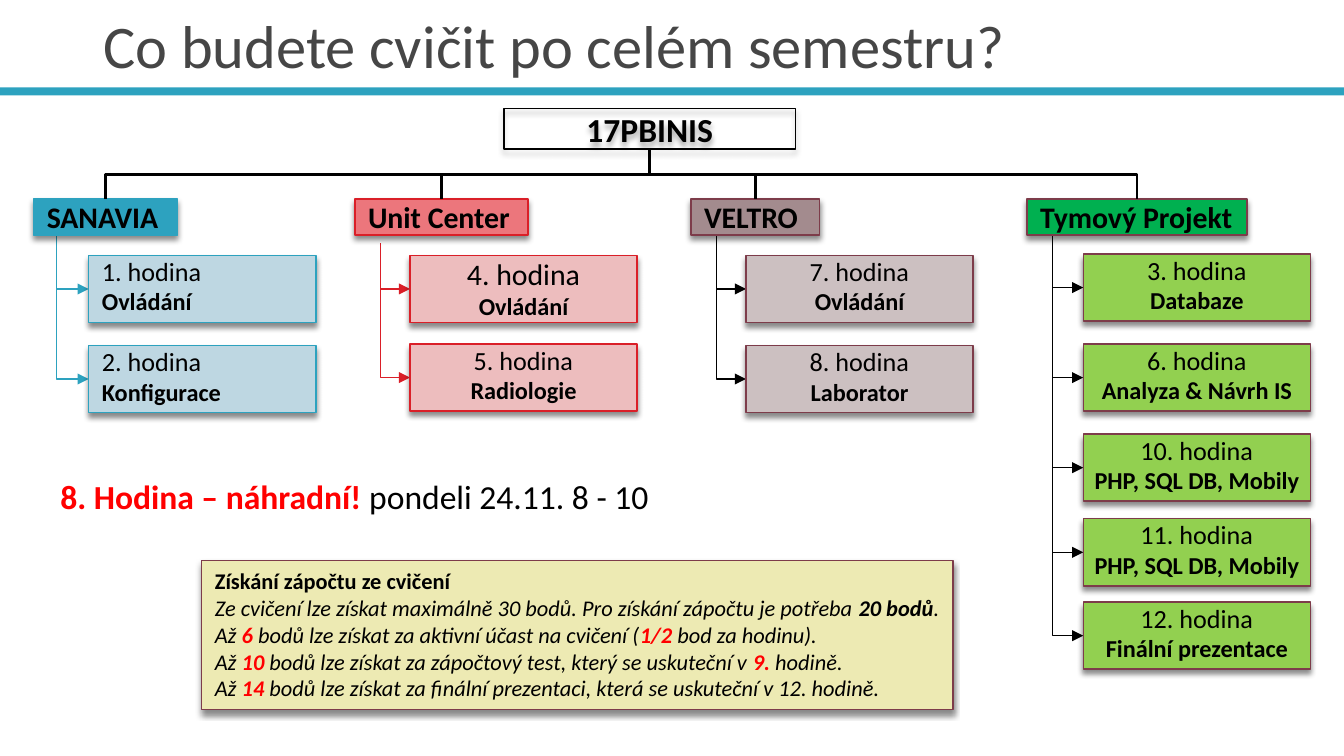
from lxml import etree
from pptx import Presentation
from pptx.dml.color import RGBColor
from pptx.enum.shapes import MSO_CONNECTOR, MSO_SHAPE
from pptx.enum.text import MSO_ANCHOR, PP_ALIGN
from pptx.oxml.ns import qn
from pptx.util import Pt

PX = 9144
SLIDE_WIDTH = 1000 * PX
SLIDE_HEIGHT = SLIDE_WIDTH * 9 // 16
RECTANGLE = MSO_SHAPE.RECTANGLE
ELBOW = MSO_CONNECTOR.ELBOW
LEFT, CENTER = PP_ALIGN.LEFT, PP_ALIGN.CENTER
TOP, BOTTOM = MSO_ANCHOR.TOP, MSO_ANCHOR.BOTTOM
FONT = "Calibri"
THIN = 0.79
BOX_WIDTH, BOX_HEIGHT = 169, 50
HEADER_TOP, HEADER_HEIGHT = 148, 27
LONGEST_DROP = 108

COLORS = {
    "black": "000000", "gray": "464646", "red": "FF0000",
    "teal": "2DA2BF", "pale teal": "BED7E2",
    "crimson": "DA1F28", "rose": "EC767C", "pale rose": "EDBDBE",
    "wine": "7D3C4A", "mauve": "A38B8E", "pale mauve": "CCC0C1",
    "green": "00B050", "lime": "92D050", "sand": "EDEAB3",
}

TITLE = "Co budete cvičit po celém semestru?"
COURSE = "17PBINIS"

COLUMNS = [
    {"name": "SANAVIA", "left": 25, "width": 107, "stem": (42, 173), "box_left": 66,
     "fill": "teal", "line": "teal", "box_fill": "pale teal", "arrow": "teal", "align": LEFT,
     "lessons": [(190, "1. hodina", 14, "Ovládání"), (257, "2. hodina", 14, "Konfigurace")]},
    {"name": "Unit Center", "left": 264, "width": 129, "stem": (283, 181), "box_left": 305,
     "fill": "rose", "line": "crimson", "box_fill": "pale rose", "arrow": "crimson", "align": CENTER,
     "lessons": [(190, "4. hodina", 16, "Ovládání"), (256, "5. hodina", 14, "Radiologie")]},
    {"name": "VELTRO", "left": 514, "width": 96, "stem": (533, 173), "box_left": 555,
     "fill": "mauve", "line": "wine", "box_fill": "pale mauve", "arrow": "black", "align": CENTER,
     "lessons": [(190, "7. hodina", 14, "Ovládání"), (257, "8. hodina", 14, "Laborator")]},
    {"name": "Tymový Projekt", "left": 764, "width": 164, "stem": (783, 173), "box_left": 806,
     "fill": "green", "line": "wine", "box_fill": "lime", "arrow": "black", "align": CENTER,
     "lessons": [(189, "3. hodina", 14, "Databaze"),
                 (256, "6. hodina", 14, "Analyza & Návrh IS"),
                 (323, "10. hodina", 14, "PHP, SQL DB, Mobily"),
                 (386, "11. hodina", 14, "PHP, SQL DB, Mobily"),
                 (448, "12. hodina", 14, "Finální prezentace")]},
]

NOTICE = [("8. Hodina – náhradní! ", True, "red"), ("pondeli 24.11. 8 - 10", False, "black")]

CREDIT_HEADING = "Získání zápočtu ze cvičení"
CREDIT_RULES = [
    [("Ze cvičení lze získat maximálně 30 bodů. Pro získání zápočtu je potřeba ", False, "black"),
     ("20 bodů", True, "black"), (".", False, "black")],
    [("Až ", False, "black"), ("6 ", True, "red"),
     ("bodů lze získat za aktivní účast na cvičení (", False, "black"),
     ("1/2", True, "red"), (" bod za hodinu).", False, "black")],
    [("Až ", False, "black"), ("10", True, "red"),
     (" bodů lze získat za zápočtový test, který se uskuteční v ", False, "black"),
     ("9.", True, "red"), (" hodině.", False, "black")],
    [("Až ", False, "black"), ("14", True, "red"),
     (" bodů lze získat za finální prezentaci, která se uskuteční v 12. hodině.", False, "black")],
]


def rgb(name):
    return RGBColor.from_string(COLORS[name])


def add_shadow(shape, opacity, distance):
    effects = etree.SubElement(shape._element.spPr, qn("a:effectLst"))
    shadow = etree.SubElement(effects, qn("a:outerShdw"), blurRad=str(Pt(3)),
                              dist=str(Pt(distance)), dir="5400000", rotWithShape="0")
    color = etree.SubElement(shadow, qn("a:srgbClr"), val=COLORS["black"])
    etree.SubElement(color, qn("a:alpha"), val=str(opacity * 1000))


def add_box(slide, left, top, width, height, fill, line, line_width=THIN):
    shape = slide.shapes.add_shape(RECTANGLE, *(value * PX for value in (left, top, width, height)))
    if fill:
        shape.fill.solid()
        shape.fill.fore_color.rgb = rgb(fill)
    else:
        shape.fill.background()
    if line:
        shape.line.color.rgb = rgb(line)
        shape.line.width = Pt(line_width)
    else:
        shape.line.fill.background()
    return shape


def write(shape, paragraphs, align=LEFT, anchor=TOP, wrap=False, tight=False):
    frame = shape.text_frame
    frame.word_wrap = wrap
    frame.vertical_anchor = anchor
    if tight:
        frame.margin_top = frame.margin_bottom = 0
    for index, (runs, size, italic) in enumerate(paragraphs):
        paragraph = frame.paragraphs[0] if index == 0 else frame.add_paragraph()
        paragraph.alignment = align
        paragraph.font.name = FONT
        paragraph.font.size = Pt(size)
        paragraph.font.italic = italic
        for text, bold, color in runs:
            run = paragraph.add_run()
            run.text = text
            run.font.bold = bold
            run.font.color.rgb = rgb(color)


def add_elbow(slide, start, end, preset, color, width, arrow=False):
    (x1, y1), (x2, y2) = start, end
    center_x, center_y = (x1 + x2) / 2, (y1 + y2) / 2
    half_drop, half_run = (y2 - y1) / 2, abs(x2 - x1) / 2
    rightward = x2 > x1
    side = half_drop if rightward else -half_drop
    corners = (center_x + side, center_y - half_run, center_x - side, center_y + half_run)
    connector = slide.shapes.add_connector(ELBOW, *(round(value * PX) for value in corners))
    properties = connector._element.spPr
    properties.find(qn("a:xfrm")).set("rot", str((270 if rightward else 90) * 60000))
    properties.find(qn("a:prstGeom")).set("prst", preset)
    connector.line.color.rgb = rgb(color)
    connector.line.width = Pt(width)
    if arrow:
        etree.SubElement(properties.find(qn("a:ln")), qn("a:tailEnd"), type="triangle")
    etree.SubElement(properties, qn("a:effectLst"))


def add_column(slide, column):
    stem_x, stem_top = column["stem"]
    left = column["box_left"]
    for top, lesson, size, topic in column["lessons"]:
        middle = top + BOX_HEIGHT // 2
        start = (stem_x, max(stem_top, middle - LONGEST_DROP))
        add_elbow(slide, start, (left, middle), "bentConnector2", column["arrow"], THIN, arrow=True)
        box = add_box(slide, left, top, BOX_WIDTH, BOX_HEIGHT, column["box_fill"], column["line"])
        add_shadow(box, 45, 2.4)
        write(box, [([(lesson, False, "black")], size, False), ([(topic, True, "black")], 13, False)],
              column["align"], tight=True)
    header = add_box(slide, column["left"], HEADER_TOP, column["width"], HEADER_HEIGHT,
                     column["fill"], column["line"])
    add_shadow(header, 45, 2.4)
    write(header, [([(column["name"], True, "black")], 16, False)], tight=True)
    center = column["left"] + column["width"] / 2
    add_elbow(slide, (483, 112), (center, HEADER_TOP), "bentConnector3", "black", 1.5)


def main():
    presentation = Presentation()
    presentation.slide_width, presentation.slide_height = SLIDE_WIDTH, SLIDE_HEIGHT
    slide = presentation.slides.add_slide(presentation.slide_layouts[6])

    band = add_box(slide, 0, 65, 1000, 6, "teal", None)
    band.shadow.inherit = False
    title = slide.shapes.add_textbox(67 * PX, 13 * PX, 892 * PX, 52 * PX)
    write(title, [([(TITLE, False, "gray")], 32.4, False)], anchor=BOTTOM, wrap=True)

    course = add_box(slide, 375, 81, 217, 30, None, "black", 0.75)
    add_shadow(course, 35, 2)
    write(course, [([(COURSE, True, "black")], 18, False)], CENTER, wrap=True, tight=True)

    for column in COLUMNS:
        add_column(slide, column)

    credit = add_box(slide, 150, 417, 559, 111, "sand", "wine")
    add_shadow(credit, 45, 2.4)
    write(credit, [([(CREDIT_HEADING, True, "black")], 12, False)]
          + [(runs, 12, True) for runs in CREDIT_RULES], wrap=True)

    notice = slide.shapes.add_textbox(35 * PX, 349 * PX, 475 * PX, 40 * PX)
    write(notice, [(NOTICE, 18, False)])

    presentation.save("out.pptx")


if __name__ == "__main__":
    main()
